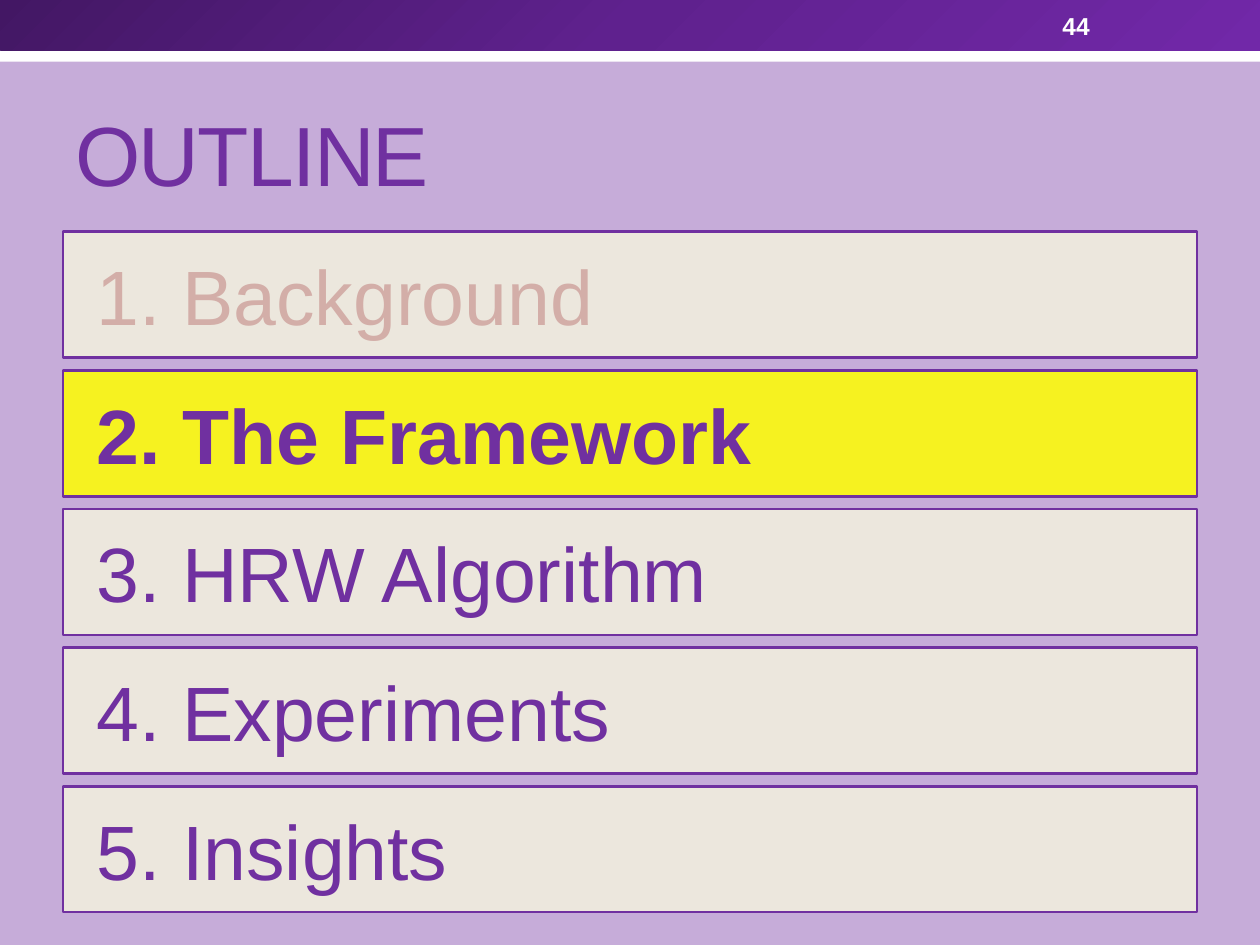
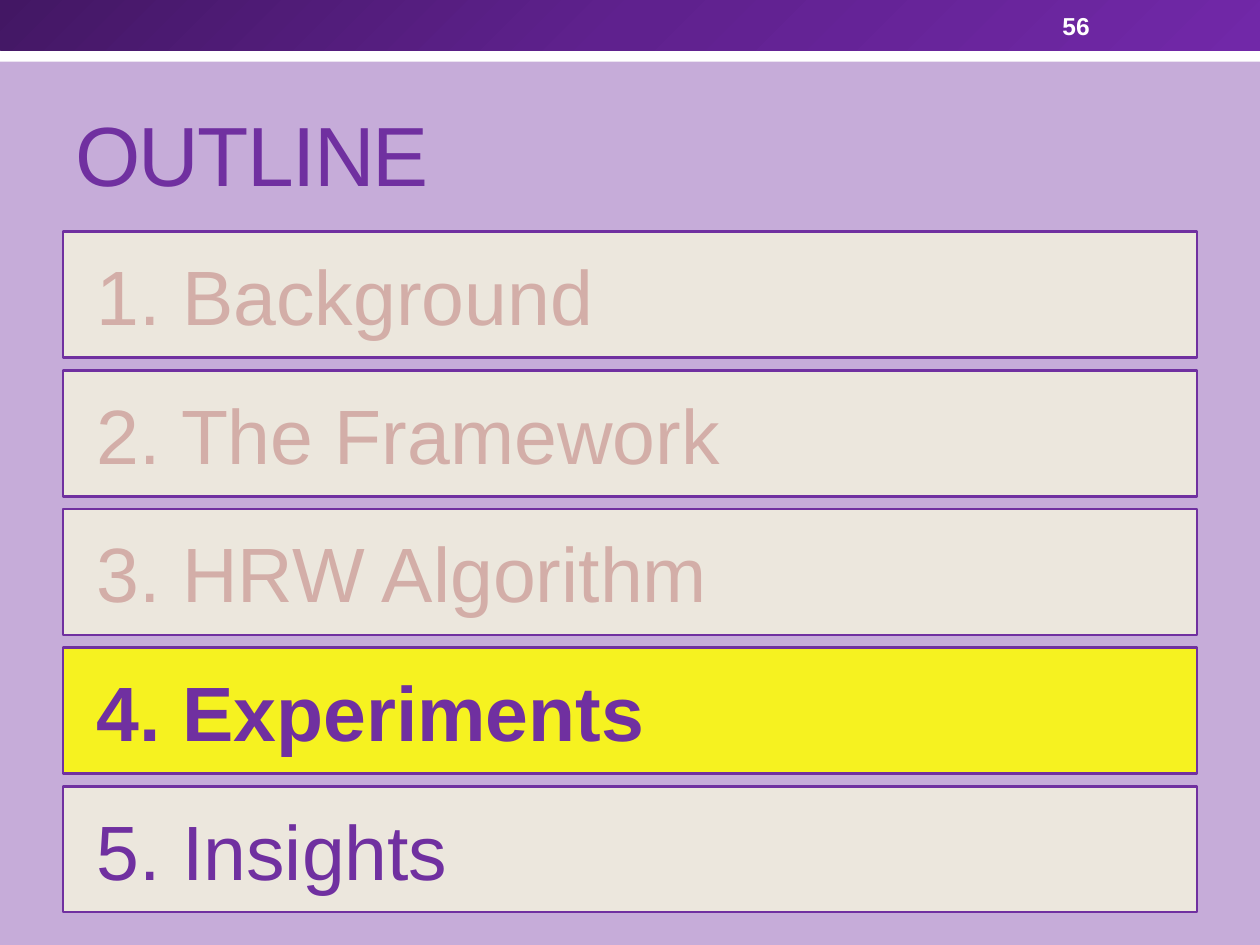
from copy import deepcopy

from lxml import etree
from pptx import Presentation
from pptx.dml.color import RGBColor
from pptx.enum.shapes import MSO_SHAPE
from pptx.enum.text import MSO_ANCHOR, PP_ALIGN
from pptx.oxml.ns import qn
from pptx.util import Pt

RECT = MSO_SHAPE.RECTANGLE
MIDDLE, BOTTOM = MSO_ANCHOR.MIDDLE, MSO_ANCHOR.BOTTOM
LEFT = PP_ALIGN.LEFT

PURPLE = RGBColor(0x70, 0x30, 0xA0)
LILAC = RGBColor(0xC6, 0xAC, 0xD9)
CREAM = RGBColor(0xF3, 0xF2, 0xDE)
YELLOW = RGBColor(0xFF, 0xFF, 0x00)
ROSE = RGBColor(0xD3, 0xAE, 0xA8)
WHITE = RGBColor(0xFF, 0xFF, 0xFF)
BAND = [RGBColor(0x43, 0x17, 0x64), RGBColor(0x5F, 0x21, 0x8E),
        RGBColor(0x71, 0x28, 0xA8)]

FONT = "Arial"
WIDTH, HEIGHT = 720, 540
EDGE = 36
TOPICS = ["Background", "The Framework", "HRW Algorithm", "Experiments",
          "Insights"]


class Deck:
    def __init__(self):
        self.prs = Presentation()
        self.prs.slide_width, self.prs.slide_height = Pt(WIDTH), Pt(HEIGHT)
        self.slide = None

    def page(self, number):
        """Start a slide with the shared background, bands and number."""
        self.slide = self.prs.slides.add_slide(self.prs.slide_layouts[6])
        back = self.slide.background.fill
        back.solid()
        back.fore_color.rgb = LILAC
        self.rect(0, 17.28, WIDTH, 18, WHITE)
        self.blend(self.rect(0, 0, WIDTH, 28.8, WHITE), BAND)
        self.label(600, 1.5, 84, 26, str(number), 14, WHITE, MIDDLE, bold=True)

    def rect(self, x, y, w, h, fill):
        box = self.slide.shapes.add_shape(RECT, Pt(x), Pt(y), Pt(w), Pt(h))
        box.shadow.inherit = False
        box.fill.solid()
        box.fill.fore_color.rgb = fill
        box.line.fill.background()
        return box

    def blend(self, box, hues):
        """Fill a shape with evenly spaced colours, top left to bottom right."""
        box.fill.gradient()
        box.fill.gradient_angle = 315
        stops = box.element.spPr.find(".//" + qn("a:gsLst"))
        stops.insert(1, deepcopy(stops[0]))
        for i, (stop, hue) in enumerate(zip(box.fill.gradient_stops, hues)):
            stop.position = i / (len(hues) - 1)
            stop.color.rgb = hue

    def put(self, box, text, size, color, anchor, bold=False):
        """Set the one paragraph of a box."""
        frame = box.text_frame
        frame.word_wrap = True
        frame.vertical_anchor = anchor
        para = frame.paragraphs[0]
        para.text = text
        para.alignment = LEFT
        font = para.font
        font.name, font.size, font.bold = FONT, Pt(size), bold
        font.color.rgb = color
        return para

    def label(self, x, y, w, h, *style, **more):
        box = self.slide.shapes.add_textbox(Pt(x), Pt(y), Pt(w), Pt(h))
        return self.put(box, *style, **more)

    def title(self, text):
        para = self.label(EDGE, 41.76, WIDTH - 2 * EDGE, 77.76, text, 48,
                          PURPLE, BOTTOM)
        para.runs[0].font._element.set("spc", "-100")

    def topic(self, y, text, fill, color, bold):
        """Draw one outlined, slightly see-through outline row."""
        box = self.rect(EDGE, y, WIDTH - 2 * EDGE, 72, fill)
        hue = box.element.spPr.find(qn("a:solidFill"))[0]
        etree.SubElement(hue, qn("a:alpha")).set("val", "85000")
        box.line.color.rgb = PURPLE
        box.line.width = Pt(1.5)
        box.text_frame.margin_left = Pt(19.4)
        self.put(box, text, 44, color, MIDDLE, bold)

    def outline(self, number, current):
        """Past topics are faded and the current one is highlighted."""
        self.page(number)
        self.title("OUTLINE")
        for i, name in enumerate(TOPICS, 1):
            now = i == current
            self.topic(132.48 + 79.2 * (i - 1), f"{i}. {name}",
                       YELLOW if now else CREAM,
                       ROSE if i < current else PURPLE, now)


def main():
    deck = Deck()
    deck.outline(44, current=2)
    deck.outline(56, current=4)
    deck.prs.save("out.pptx")


if __name__ == "__main__":
    main()
